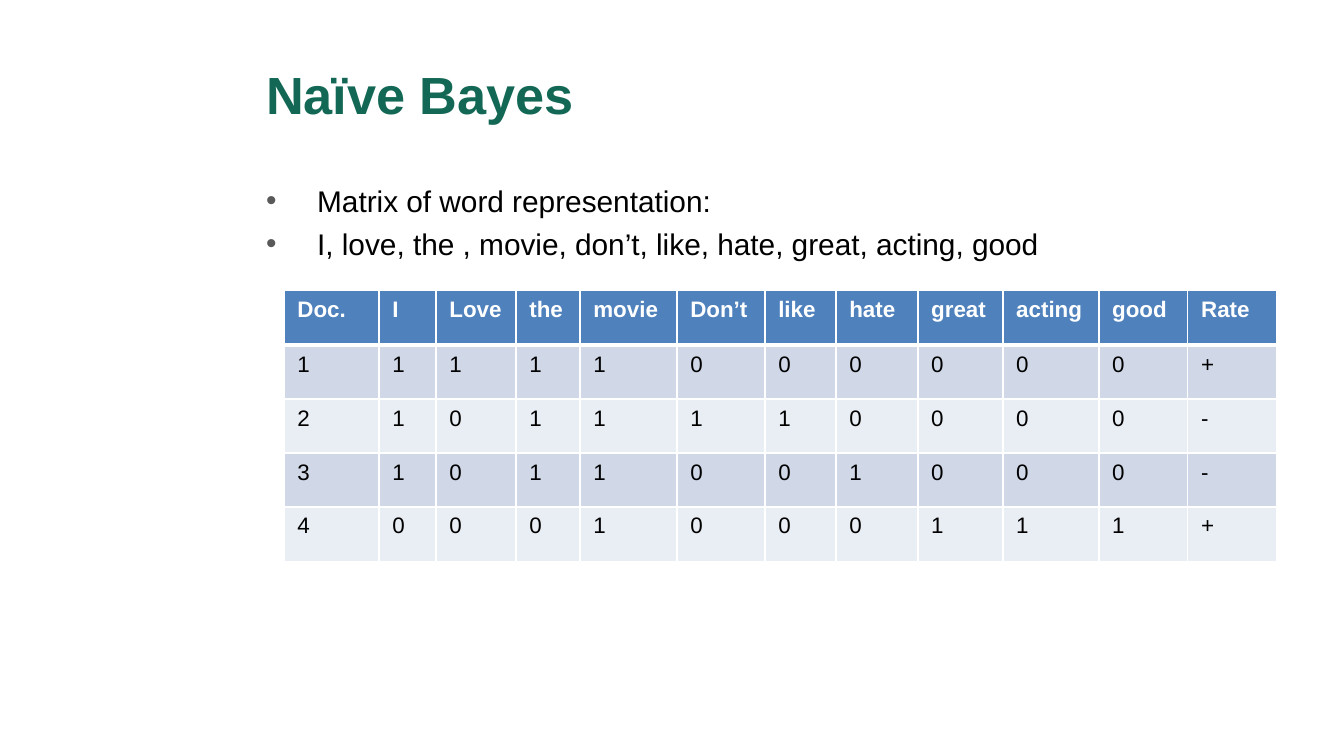
from lxml import etree
from pptx import Presentation
from pptx import util as u
from pptx.dml.color import RGBColor
from pptx.enum import text
from pptx.oxml import ns

FONT = "Arial"
GREEN = RGBColor(0x13, 0x68, 0x55)
BLACK = RGBColor(0x00, 0x00, 0x00)
WHITE = RGBColor(0xFF, 0xFF, 0xFF)
GREY = RGBColor(0x59, 0x59, 0x59)
HEADER_BLUE = RGBColor(0x4F, 0x81, 0xBD)
BANDS = [RGBColor(0xD0, 0xD8, 0xE8), RGBColor(0xE9, 0xED, 0xF4)]

TITLE = "Naïve Bayes"
BULLETS = [
    "Matrix of word representation:",
    "I, love, the , movie, don’t, like, hate, great, acting, good",
]
HEADER = ["Doc.", "I", "Love", "the", "movie", "Don’t", "like", "hate",
          "great", "acting", "good", "Rate"]
DOCUMENTS = [
    ("1", "1111000000", "+"),
    ("2", "1011110000", "-"),
    ("3", "1011001000", "-"),
    ("4", "0001000111", "+"),
]
ROWS = [HEADER] + [[name, *counts, rate] for name, counts, rate in DOCUMENTS]

SLIDE_SIZE = (1344, 756)
TITLE_AREA = (253, 31, 1024, 126)
BODY_AREA = (253, 176, 1024, 499)
TABLE_CORNER = (284, 290)
COLUMN_WIDTHS = [95, 57, 80, 64, 97, 88, 71, 82, 85, 96, 89, 89]
ROW_HEIGHTS = [55, 54, 54, 54, 55]
BULLET_INDENT = 51


def px(value):
    return u.Emu(round(value * 914400 / 134.4))


def add_span(para, words, size, color, bold=False):
    span = para.add_run()
    span.text = words
    span.font.name = FONT
    span.font.size = u.Pt(size)
    span.font.bold = bold
    span.font.color.rgb = color


def add_box(page, area, anchor):
    box = page.shapes.add_textbox(*map(px, area))
    box.text_frame.word_wrap = True
    box.text_frame.vertical_anchor = anchor
    return box.text_frame


def add_color(parent, color):
    fill = etree.SubElement(parent, ns.qn("a:solidFill"))
    etree.SubElement(fill, ns.qn("a:srgbClr")).set("val", str(color))


def set_bullet(para):
    props = para._p.get_or_add_pPr()
    props.set("marL", str(px(BULLET_INDENT)))
    props.set("indent", str(-px(BULLET_INDENT)))
    color = etree.SubElement(props, ns.qn("a:buClr"))
    etree.SubElement(color, ns.qn("a:srgbClr")).set("val", str(GREY))
    etree.SubElement(props, ns.qn("a:buFont")).set("typeface", FONT)
    etree.SubElement(props, ns.qn("a:buChar")).set("char", "•")


def set_borders(cell, widths):
    props = cell._tc.get_or_add_tcPr()
    for place, (side, width) in enumerate(widths.items()):
        line = etree.Element(ns.qn(f"a:ln{side}"), w=str(u.Pt(width)))
        add_color(line, WHITE)
        props.insert(place, line)


def add_matrix(page):
    size = (sum(COLUMN_WIDTHS), sum(ROW_HEIGHTS))
    frame = page.shapes.add_table(len(ROWS), len(HEADER),
                                  *map(px, TABLE_CORNER + size))
    table = frame.table
    for column, width in zip(table.columns, COLUMN_WIDTHS):
        column.width = px(width)
    for row, height in zip(table.rows, ROW_HEIGHTS):
        row.height = px(height)
    for r, values in enumerate(ROWS):
        header = r == 0
        for c, value in enumerate(values):
            cell = table.cell(r, c)
            cell.fill.solid()
            cell.fill.fore_color.rgb = HEADER_BLUE if header else BANDS[(r - 1) % 2]
            set_borders(cell, {"L": 1, "R": 1, "T": 3 if r == 1 else 1,
                               "B": 3 if header else 1})
            add_span(cell.text_frame.paragraphs[0], value, 12,
                     WHITE if header else BLACK, header)


def main():
    deck = Presentation()
    deck.slide_width, deck.slide_height = map(px, SLIDE_SIZE)
    page = deck.slides.add_slide(deck.slide_layouts[6])

    title = add_box(page, TITLE_AREA, text.MSO_ANCHOR.MIDDLE)
    add_span(title.paragraphs[0], TITLE, 28, GREEN, True)

    body = add_box(page, BODY_AREA, text.MSO_ANCHOR.TOP)
    for i, words in enumerate(BULLETS):
        para = body.add_paragraph() if i else body.paragraphs[0]
        para.space_before = u.Pt(4)
        set_bullet(para)
        add_span(para, words, 16, BLACK)

    add_matrix(page)
    deck.save("out.pptx")


if __name__ == "__main__":
    main()
